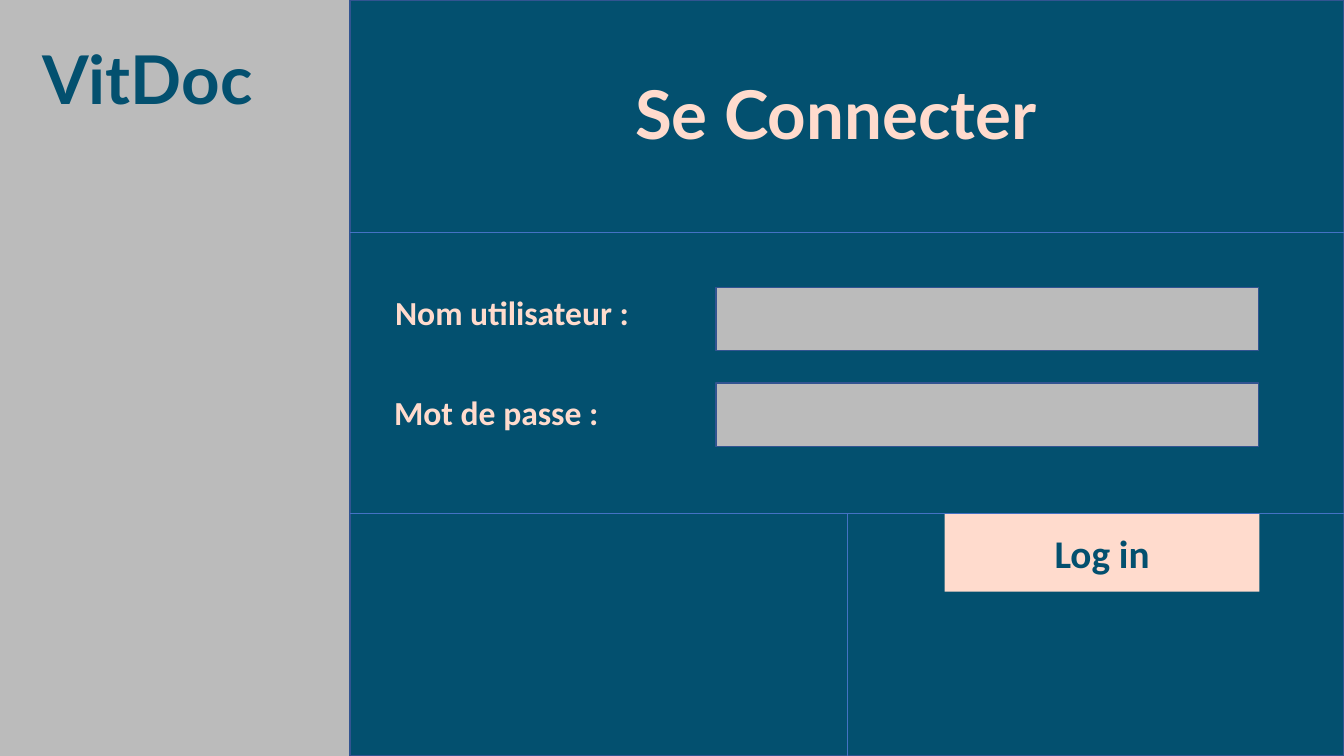
from pptx import Presentation
from pptx.dml.color import RGBColor
from pptx.enum import shapes as sh, text as tx
from pptx.util import Inches, Pt
from lxml import etree

BRAND = "VitDoc"
TITLE = "Se Connecter"
BUTTON = "Log in"
# label, label left, label top
FIELDS = [("Nom utilisateur :", 3.82, 2.85), ("Mot de passe :", 3.81, 3.84)]
HEX = {"grey": "BBBBBB", "teal": "03506F", "pink": "FFDBCD",
       "edge": "325491", "rule": "4472C4"}

WIDE, HIGH = 13.33, 7.5
LEFT = 3.47                 # where the side bar ends
HEAD, FOOT = 2.31, 5.09     # rules across the panel
MID = (LEFT + WIDE) / 2
BOX = (7.1, 2.85, 5.38, 0.63)
STEP = 0.95


def color(name):
    return RGBColor.from_string(HEX[name])


def style(frame, words, size, face, ink, align=tx.PP_ALIGN.LEFT,
          anchor=tx.MSO_ANCHOR.TOP, wrap=True):
    frame.text = words
    frame.word_wrap = wrap
    frame.vertical_anchor = anchor
    para = frame.paragraphs[0]
    para.alignment = align
    font = para.font
    font.size, font.name, font.bold = Pt(size), face, True
    font.color.rgb = color(ink)


def label(words, x, y, w, h, size, face, ink, wrap=True):
    box = slide.shapes.add_textbox(*map(Inches, (x, y, w, h)))
    style(box.text_frame, words, size, face, ink, wrap=wrap)


def block(x, y, w, h, fill, edge=None):
    box = slide.shapes.add_shape(sh.MSO_SHAPE.RECTANGLE,
                                 *map(Inches, (x, y, w, h)))
    box.shadow.inherit = False
    box.fill.solid()
    box.fill.fore_color.rgb = color(fill)
    if edge:
        box.line.color.rgb = color(edge)
        box.line.width = Pt(1)
    else:
        box.line.fill.background()
    return box


def rule(*ends):
    line = slide.shapes.add_connector(sh.MSO_CONNECTOR.STRAIGHT,
                                      *map(Inches, ends))
    line.line.color.rgb = color("rule")
    line.line.width = Pt(0.5)
    props = line._element.spPr
    etree.SubElement(props, props.tag.split("}")[0].replace(
        "presentationml", "drawingml") + "}effectLst")


deck = Presentation()
deck.slide_width, deck.slide_height = Inches(WIDE), Inches(HIGH)
slide = deck.slides.add_slide(deck.slide_layouts[5])
back = slide.background.fill
back.solid()
back.fore_color.rgb = color("grey")

label(BRAND, 0.32, 0.32, 2.82, 0.91, 48, "Lato", "teal", wrap=False)
block(LEFT, 0, WIDE - LEFT, HIGH, "teal", "edge")
button = block(9.37, FOOT, 3.12, 0.78, "pink")
style(button.text_frame, BUTTON, 28, "Calibri", "teal",
      tx.PP_ALIGN.CENTER, tx.MSO_ANCHOR.MIDDLE)

x, y, w, h = BOX
for i, (words, left, top) in enumerate(FIELDS):
    block(x, y + i * STEP, w, h, "grey", "edge")
    label(words, left, top, 2.61, 0.5, 24, "Calibri", "pink")

for level in (FOOT, HEAD):
    rule(LEFT, level, WIDE, level)
rule(MID, FOOT, MID, HIGH)

title = slide.shapes.title
title.left, title.top, title.width, title.height = map(
    Inches, (6.2, 0.67, 4.7, 0.91))
style(title.text_frame, TITLE, 48, "Lato", "pink", wrap=False)
title.text_frame.auto_size = tx.MSO_AUTO_SIZE.NONE
slide.shapes._spTree.append(title._element)  # in front of the panel

deck.save("out.pptx")
